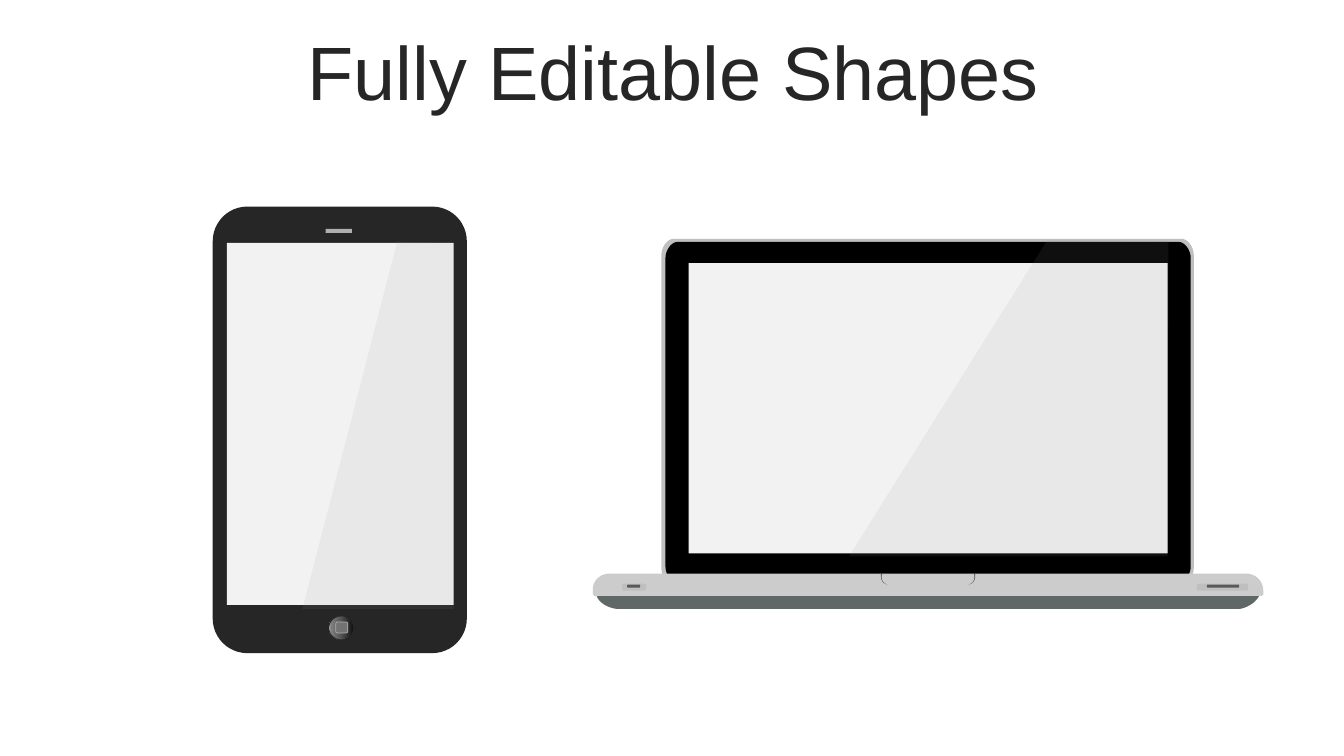
from dataclasses import dataclass
from lxml import etree
from pptx import Presentation
from pptx.dml.color import RGBColor
from pptx.enum.shapes import MSO_SHAPE
from pptx.enum.text import MSO_ANCHOR, PP_ALIGN
from pptx.oxml.ns import qn
from pptx.util import Inches, Pt

RECT, ROUND, OVAL = MSO_SHAPE.RECTANGLE, MSO_SHAPE.ROUNDED_RECTANGLE, MSO_SHAPE.OVAL
CENTER, MIDDLE = PP_ALIGN.CENTER, MSO_ANCHOR.MIDDLE


@dataclass(frozen=True)
class Theme:
    """Colours, font and type size of the slide."""
    font: str = "Arial"
    title_size: int = 54
    dark: str = "262626"
    black: str = "000000"
    screen: str = "F2F2F2"
    glare: str = "999999"
    glare_alpha: int = 10
    rim: str = "BFBFBF"
    deck: str = "CCCCCC"
    foot: str = "5F6767"
    notch: str = "4D4D4D"
    slot: str = "595959"
    metal: str = "B0B0B0"
    button: str = "737373"
    button_stops: tuple = ((0, "0F0F0F"), (56, "595959"), (91, "808080"), (100, "BFBFBF"))


THEME = Theme()


def paint(sp, color, alpha=None):
    """Give a shape a flat fill, no line and no shadow."""
    sp.shadow.inherit = False
    sp.line.fill.background()
    sp.fill.solid()
    sp.fill.fore_color.rgb = RGBColor.from_string(color)
    if alpha is not None:
        clr = sp._element.spPr.find(qn("a:solidFill"))[0]
        etree.SubElement(clr, qn("a:alpha"), val=str(alpha * 1000))


def add_preset(s, kind, origin, box, color, adj=None):
    """Place a preset shape by its box relative to an origin."""
    x, y, w, h = box
    sp = s.shapes.add_shape(kind, Inches(origin[0] + x), Inches(origin[1] + y),
                            Inches(w), Inches(h))
    if adj is not None:
        sp.adjustments[0] = adj
    paint(sp, color)
    return sp


def flatten(path, steps=10):
    """Turn points and six-number cubic curves into a list of points."""
    points = [path[0]]
    for part in path[1:]:
        if len(part) == 2:
            points.append(part)
            continue
        start = points[-1]
        a, b, end = part[:2], part[2:4], part[4:]
        for i in range(1, steps + 1):
            t = i / steps
            u = 1 - t
            points.append(tuple(
                u**3 * start[k] + 3 * u * u * t * a[k] + 3 * u * t * t * b[k] + t**3 * end[k]
                for k in (0, 1)))
    return points


def add_outline(s, origin, path, color, alpha=None):
    """Draw a closed outline relative to an origin."""
    points = [(Inches(origin[0] + x), Inches(origin[1] + y)) for x, y in flatten(path)]
    builder = s.shapes.build_freeform(*points[0])
    builder.add_line_segments(points[1:], close=True)
    sp = builder.convert_to_shape()
    paint(sp, color, alpha)
    return sp


def rounded_path(left, top, right, bottom, rx=0.12, ry=0.16):
    """Return a rectangle's outline with elliptical corners."""
    return [(left + rx, top), (right - rx, top),
            (right - rx / 2, top, right, top + ry / 2, right, top + ry),
            (right, bottom - ry),
            (right, bottom - ry / 2, right - rx / 2, bottom, right - rx, bottom),
            (left + rx, bottom),
            (left + rx / 2, bottom, left, bottom - ry / 2, left, bottom - ry),
            (left, top + ry),
            (left, top + ry / 2, left + rx / 2, top, left + rx, top)]


def mirror(path, width):
    """Flip a path from left to right within a width."""
    return [tuple(width - v if i % 2 == 0 else v for i, v in enumerate(part))
            for part in path]


def add_title(s, x, y, w, h):
    """Write the slide title in its box."""
    tf = s.shapes.add_textbox(Inches(x), Inches(y), Inches(w), Inches(h)).text_frame
    tf.word_wrap = True
    tf.vertical_anchor = MIDDLE
    tf.text = "Fully Editable Shapes"
    p = tf.paragraphs[0]
    p.alignment = CENTER
    p.line_spacing = 0.9
    font = p.runs[0].font
    font.name = THEME.font
    font.size = Pt(THEME.title_size)
    font.color.rgb = RGBColor.from_string(THEME.dark)


def add_laptop(s, x, y, w):
    """Draw the laptop from its lid down to its ports."""
    o = (x, y)
    add_outline(s, o, rounded_path(0.68, 0, 5.96, 3.43), THEME.rim)
    foot = [(6.42, 3.67), (6.42, 3.67, 6.55, 3.65, 6.61, 3.54),
            (6.61, 3.5, 6.58, 3.48, 6.55, 3.48), (0.1, 3.5),
            (0.07, 3.5, 0.04, 3.52, 0.04, 3.55),
            (0.08, 3.63, 0.17, 3.66, 0.23, 3.67)]
    add_outline(s, o, foot, THEME.foot)
    add_outline(s, o, rounded_path(0.72, 0.03, 5.93, 3.41), THEME.black)
    add_preset(s, RECT, o, (0.95, 0.24, 4.75, 2.88), THEME.screen)
    deck = [(0.17, 3.32), (w - 0.17, 3.32), (w - 0.08, 3.32, w, 3.39, w, 3.49),
            (w, 3.52), (w, 3.52, w + 0.01, 3.55, w - 0.06, 3.54), (0.06, 3.54),
            (0.04, 3.55, 0, 3.55, 0, 3.51), (0, 3.48),
            (0, 3.39, 0.07, 3.32, 0.17, 3.32)]
    add_outline(s, o, deck, THEME.deck)
    notch = [(2.86, 3.32), (2.87, 3.32), (2.87, 3.32, 2.84, 3.4, 2.92, 3.43),
             (2.84, 3.41, 2.86, 3.32, 2.86, 3.32)]
    for path in (notch, mirror(notch, w)):
        add_outline(s, o, path, THEME.notch)
    for plate_x, plate_w, slot_x, slot_w in ((0.29, 0.24, 0.34, 0.13),
                                             (5.99, 0.51, 6.09, 0.32)):
        add_preset(s, ROUND, o, (plate_x, 3.42, plate_w, 0.07), THEME.rim, 0.28)
        add_preset(s, ROUND, o, (slot_x, 3.43, slot_w, 0.03), THEME.slot, 0.28)
    add_outline(s, o, [(4.51, 0.01), (5.71, 0.02), (5.7, 3.15), (2.54, 3.15)],
                THEME.glare, THEME.glare_alpha)


def add_phone(s, x, y, w, h):
    """Draw the phone with its speaker, home button and screen."""
    o = (x, y)
    add_preset(s, ROUND, o, (0, 0, w, h), THEME.dark, 0.136)
    add_preset(s, RECT, o, (1.12, 0.22, 0.26, 0.04), THEME.metal)
    home = add_preset(s, OVAL, o, (1.15, 4.06, 0.25, 0.24), THEME.dark)
    home.fill.gradient()
    home.fill.gradient_angle = 180
    stops = home._element.spPr.find(qn("a:gradFill")).find(qn("a:gsLst"))
    for stop in list(stops):
        stops.remove(stop)
    for pos, color in THEME.button_stops:
        stop = etree.SubElement(stops, qn("a:gs"), pos=str(pos * 1000))
        etree.SubElement(stop, qn("a:srgbClr"), val=color)
    icon = add_preset(s, ROUND, o, (1.22, 4.12, 0.12, 0.11), THEME.button)
    for sp, color, width in ((home, THEME.dark, 0), (icon, THEME.metal, 0.5)):
        sp.line.color.rgb = RGBColor.from_string(color)
        sp.line.width = Pt(width)
    add_preset(s, RECT, o, (0.14, 0.36, 2.25, 3.59), THEME.screen)
    add_outline(s, o, [(1.83, 0.35), (2.39, 0.36), (2.39, 3.99), (0.89, 3.99)],
                THEME.glare, THEME.glare_alpha)


def main():
    """Build the slide and save it."""
    prs = Presentation()
    prs.slide_width, prs.slide_height = Inches(13.33), Inches(7.5)
    s = prs.slides.add_slide(prs.slide_layouts[6])
    add_title(s, 0.35, 0.36, 12.66, 0.79)
    add_laptop(s, 5.88, 2.37, 6.65)
    add_phone(s, 2.11, 2.05, 2.52, 4.43)
    prs.save("out.pptx")


if __name__ == "__main__":
    main()
